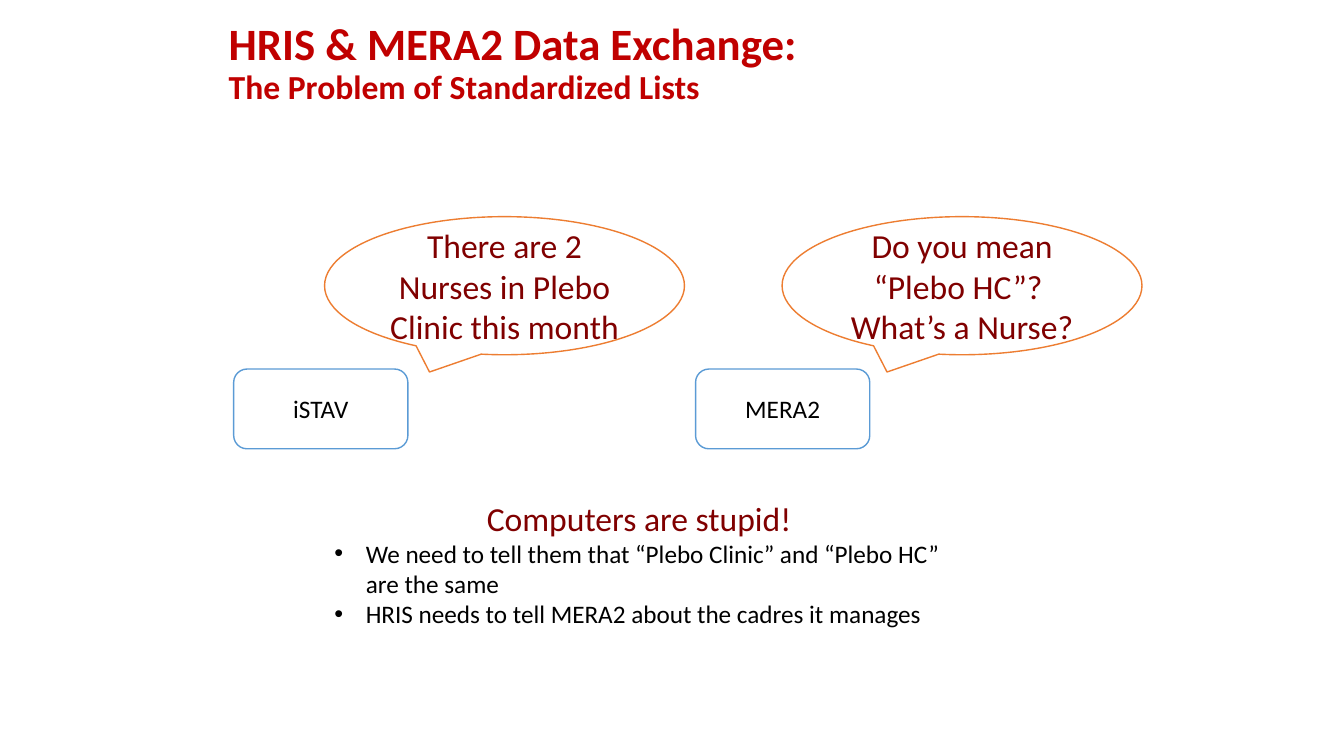
from dataclasses import dataclass
from lxml import etree
from pptx import Presentation
from pptx.dml.color import RGBColor
from pptx.enum.shapes import MSO_SHAPE
from pptx.enum.text import MSO_ANCHOR, MSO_AUTO_SIZE, PP_ALIGN
from pptx.oxml.ns import qn
from pptx.util import Cm, Pt

ROUND = MSO_SHAPE.ROUNDED_RECTANGLE
SPEECH = MSO_SHAPE.OVAL_CALLOUT
MIDDLE = MSO_ANCHOR.MIDDLE
LEFT, CENTER = PP_ALIGN.LEFT, PP_ALIGN.CENTER
NO_FIT, GROW = MSO_AUTO_SIZE.NONE, MSO_AUTO_SIZE.SHAPE_TO_FIT_TEXT


@dataclass(frozen=True)
class Theme:
    font: str = "Calibri"
    title: RGBColor = RGBColor(0xC0, 0x00, 0x00)
    speech: RGBColor = RGBColor(0x80, 0x00, 0x00)
    text: RGBColor = RGBColor(0x00, 0x00, 0x00)
    fill: RGBColor = RGBColor(0xFF, 0xFF, 0xFF)
    blue: RGBColor = RGBColor(0x5B, 0x9B, 0xD5)
    orange: RGBColor = RGBColor(0xED, 0x7D, 0x31)
    head: Pt = Pt(32)
    large: Pt = Pt(24)
    body: Pt = Pt(18)


theme = Theme()


def style(para, size, color, align, bold=False):
    para.alignment = align
    for run in para.runs:
        font = run.font
        font.name, font.size, font.bold = theme.font, size, bold
        font.color.rgb = color


def add_box(kind, place, text, size, color, line):
    box = slide.shapes.add_shape(kind, *place)
    box.shadow.inherit = False
    box.fill.solid()
    box.fill.fore_color.rgb = theme.fill
    box.line.color.rgb = line
    box.line.width = Pt(1)
    frame = box.text_frame
    frame.text = text
    frame.word_wrap = True
    frame.vertical_anchor = MIDDLE
    style(frame.paragraphs[0], size, color, CENTER)


# Slide
prs = Presentation()
prs.slide_width, prs.slide_height = Cm(33.87), Cm(19.05)
slide = prs.slides.add_slide(prs.slide_layouts[5])

# Title
title = slide.shapes.title
title.left, title.top = Cm(5.51), Cm(0.03)
title.width, title.height = Cm(22.86), Cm(3.18)
frame = title.text_frame
frame.auto_size = NO_FIT
frame.vertical_anchor = MIDDLE
head = frame.paragraphs[0]
head.text = "HRIS & MERA2 Data Exchange:\vThe Problem of Standardized Lists"
head.line_spacing = 0.9
style(head, theme.head, theme.title, LEFT, bold=True)
head.runs[1].font.size = theme.large

# Systems and what they say
systems = [
    ("iSTAV", Cm(5.89), "There are 2 Nurses in Plebo Clinic this month", Cm(8.18)),
    ("MERA2", Cm(17.53), "Do you mean “Plebo HC”?  What’s a Nurse?", Cm(19.71)),
]
for name, left, words, edge in systems:
    add_box(ROUND, (left, Cm(9.3), Cm(4.39), Cm(2.01)),
            name, theme.body, theme.text, theme.blue)
    add_box(SPEECH, (edge, Cm(5.46), Cm(9.07), Cm(3.48)),
            words, theme.large, theme.speech, theme.orange)

# Lesson with bullets
note = slide.shapes.add_textbox(Cm(8.18), Cm(12.42), Cm(15.85), Cm(3.58))
frame = note.text_frame
frame.word_wrap = True
frame.auto_size = GROW
frame.text = "Computers are stupid!"
style(frame.paragraphs[0], theme.large, theme.speech, CENTER)
points = [
    "We need to tell them that “Plebo Clinic” and “Plebo HC” are the same",
    "HRIS needs to tell MERA2 about the cadres it manages",
]
for point in points:
    para = frame.add_paragraph()
    para.text = point
    style(para, theme.body, theme.text, LEFT)
    props = para._p.get_or_add_pPr()
    props.set("marL", str(Cm(0.79)))
    props.set("indent", str(-Cm(0.79)))
    etree.SubElement(props, qn("a:buFont"), typeface="Arial")
    etree.SubElement(props, qn("a:buChar"), char="•")

prs.save("out.pptx")
